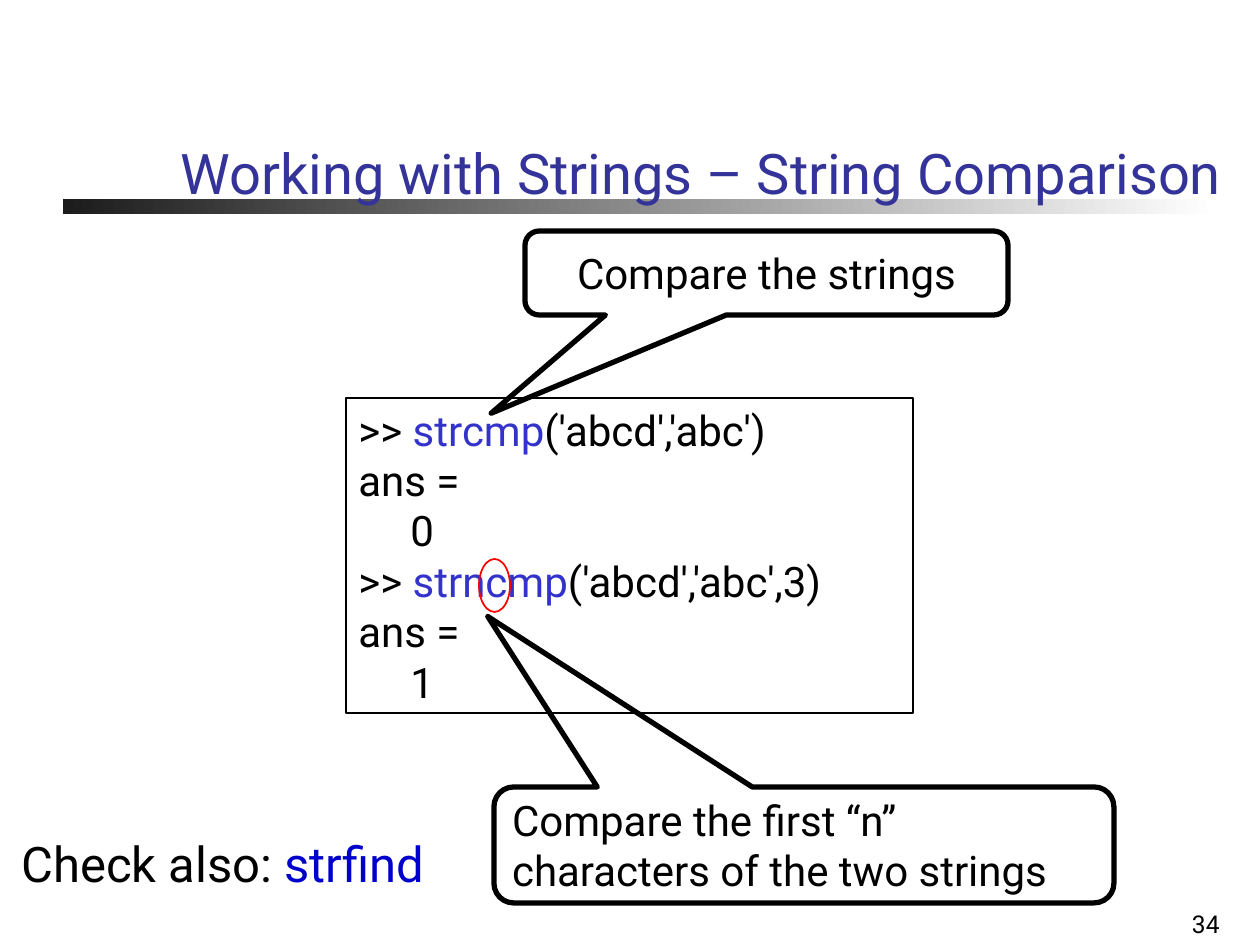
import pptx
import pptx.util
import pptx.dml.color
import pptx.enum.shapes
import pptx.enum.text

SHAPE = pptx.enum.shapes.MSO_SHAPE
ALIGN = pptx.enum.text.PP_ALIGN
ANCHOR = pptx.enum.text.MSO_ANCHOR

THEME = {
    "font": "Roboto",
    "ink": "000000", "title": "333399", "code": "3333CC", "find": "0000CC",
    "ring": "FF0000", "dark": "1C1C1C", "light": "FFFFFF",
    "head": 32, "note": 28, "body": 24, "page": 14,
}

BAR = (63, 199, 1154, 15)
RING = (479, 559, 31, 53)
CODE = (346, 398, 567, 315)
LINES = [
    [(">> ", "ink"), ("strcmp", "code"), ("('abcd','abc')", "ink")],
    [("ans =", "ink")],
    [("     0", "ink")],
    [(">> ", "ink"), ("strncmp", "code"), ("('abcd','abc',3)", "ink")],
    [("ans =", "ink")],
    [("     1", "ink")],
]
CALLS = [
    ((525, 231, 483, 84), (-0.57, 1.67, 0.17), ALIGN.CENTER,
     "Compare the strings"),
    ((494, 787, 620, 116), (-0.51, -1.97, 0.17), ALIGN.LEFT,
     "Compare the first “n” characters of the two strings"),
]
LABELS = [
    ((970, 903, 262, 42), "page", ALIGN.RIGHT, ANCHOR.BOTTOM, True,
     [("34", "ink")]),
    ((168, 10, 1092, 202), "head", ALIGN.LEFT, ANCHOR.BOTTOM, True,
     [("Working with Strings – String Comparison", "title")]),
    ((9, 827, 446, 72), "note", ALIGN.LEFT, ANCHOR.TOP, False,
     [("Check also: ", "ink"), ("strfind", "find")]),
]


def px(n):
    return pptx.util.Emu(round(n * 914400 / 126))


def tint(name):
    return pptx.dml.color.RGBColor.from_string(THEME[name])


def write(shape, lines, size, align, anchor, wrap=True):
    frame = shape.text_frame
    frame.word_wrap = wrap
    frame.vertical_anchor = anchor
    for i, runs in enumerate(lines):
        para = frame.add_paragraph() if i else frame.paragraphs[0]
        para.alignment = align
        para.font.name = THEME["font"]
        para.font.size = pptx.util.Pt(THEME[size])
        for text, color in runs:
            run = para.add_run()
            run.text = text
            run.font.color.rgb = tint(color)


def draw(slide, kind, box, color=None, width=0):
    shape = slide.shapes.add_shape(kind, *map(px, box))
    shape.shadow.inherit = False
    shape.fill.background()
    if color:
        shape.line.color.rgb = tint(color)
        shape.line.width = pptx.util.Pt(width)
    else:
        shape.line.fill.background()
    return shape


def main():
    deck = pptx.Presentation()
    deck.slide_width, deck.slide_height = px(1260), px(945)
    slide = deck.slides.add_slide(deck.slide_layouts[6])

    bar = draw(slide, SHAPE.RECTANGLE, BAR)
    bar.fill.gradient()
    bar.fill.gradient_angle = 0
    for stop, name in zip(bar.fill.gradient_stops, ("dark", "light")):
        stop.color.rgb = tint(name)

    for box, size, align, anchor, wrap, runs in LABELS:
        label = slide.shapes.add_textbox(*map(px, box))
        write(label, [runs], size, align, anchor, wrap)

    code = draw(slide, SHAPE.RECTANGLE, CODE, "ink", 0.75)
    write(code, LINES, "body", ALIGN.LEFT, ANCHOR.TOP)
    draw(slide, SHAPE.OVAL, RING, "ring", 1)

    for box, tip, align, text in CALLS:
        call = draw(slide, SHAPE.ROUNDED_RECTANGULAR_CALLOUT, box, "ink", 3)
        for i, value in enumerate(tip):
            call.adjustments[i] = value
        write(call, [[(text, "ink")]], "body", align, ANCHOR.MIDDLE)

    deck.save("out.pptx")


if __name__ == "__main__":
    main()
